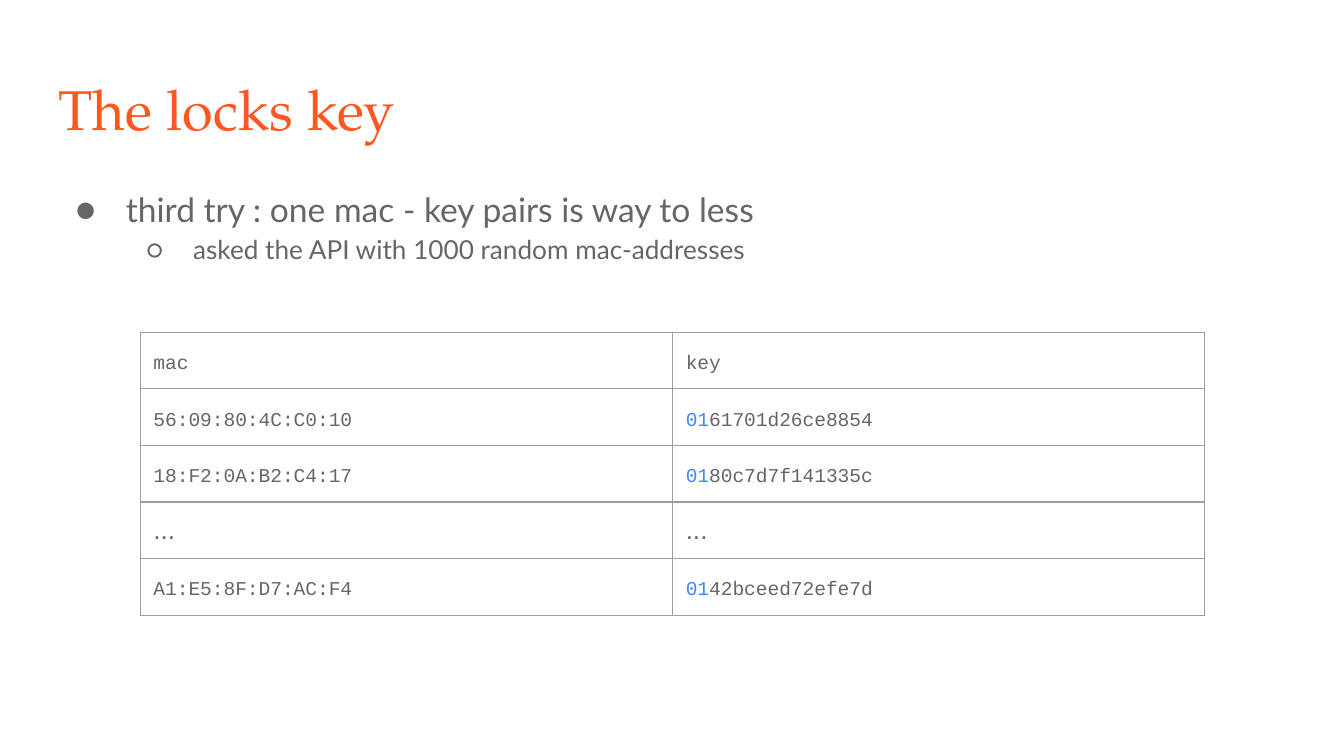
from lxml.etree import SubElement
from pptx import Presentation
from pptx.dml.color import RGBColor
from pptx.enum.text import MSO_ANCHOR, MSO_AUTO_SIZE, PP_ALIGN
from pptx.oxml.ns import qn
from pptx.util import Cm, Pt

COLORS = {"title": "FF5722", "text": "666666", "prefix": "4285F4", "border": "9E9E9E"}
INSET = Cm(0.25)


class SlideWriter:
    """Holds the deck's style and its current slide."""

    title_font, body_font, code_font, plain_font = (
        "TeX Gyre Pagella", "Lato", "Courier New", "Arial")

    def __init__(self, deck):
        self.page = deck.slides.add_slide(deck.slide_layouts[1])

    def add_run(self, para, text, font, size, color="text"):
        span = para.add_run()
        span.text = text
        span.font.name = font
        span.font.size = Pt(size)
        span.font.color.rgb = RGBColor.from_string(COLORS[color])

    def place(self, box, left, top, width, height, anchor):
        box.left, box.top, box.width, box.height = map(Cm, (left, top, width, height))
        frame = box.text_frame
        frame.word_wrap = True
        frame.auto_size = MSO_AUTO_SIZE.NONE
        frame.vertical_anchor = anchor
        frame.margin_left = frame.margin_right = INSET
        frame.margin_top = frame.margin_bottom = INSET
        return frame

    def add_title(self, text):
        frame = self.place(self.page.shapes.title, 0.86, 1.24, 23.67, 1.6, MSO_ANCHOR.MIDDLE)
        para = frame.paragraphs[0]
        para.alignment = PP_ALIGN.LEFT
        self.add_run(para, text, self.title_font, 30, "title")

    def add_bullet(self, para, mark, indent, hanging):
        props = para._p.get_or_add_pPr()
        props.set("marL", str(Cm(indent)))
        props.set("indent", str(-Cm(hanging)))
        color = SubElement(props, qn("a:buClr"))
        SubElement(color, qn("a:srgbClr"), val=COLORS["text"])
        SubElement(props, qn("a:buFont"), typeface=self.body_font)
        SubElement(props, qn("a:buChar"), char=mark)

    def add_list(self, items):
        frame = self.place(self.page.placeholders[1], 0.86, 3.2, 23.67, 9.5, MSO_ANCHOR.TOP)
        levels = [("●", 1.27, 0.95, 18), ("○", 2.54, 0.89, 14)]
        for index, (level, text) in enumerate(items):
            para = frame.add_paragraph() if index else frame.paragraphs[0]
            mark, indent, hanging, size = levels[level]
            para.level = level
            self.add_bullet(para, mark, indent, hanging)
            para.line_spacing = 1.15
            para.space_before = para.space_after = Pt(0)
            self.add_run(para, text, self.body_font, size)

    def add_borders(self, cell):
        props = cell._tc.get_or_add_tcPr()
        for side in ("lnL", "lnR", "lnT", "lnB"):
            line = SubElement(props, qn(f"a:{side}"), w=str(Pt(0.75)))
            fill = SubElement(line, qn("a:solidFill"))
            SubElement(fill, qn("a:srgbClr"), val=COLORS["border"])

    def add_cell(self, cell, prefix, text):
        cell.margin_left = cell.margin_right = INSET
        cell.margin_top = cell.margin_bottom = INSET
        self.add_borders(cell)
        cell.fill.background()
        para = cell.text_frame.paragraphs[0]
        if text == "...":
            self.add_run(para, text, self.plain_font, 14)
            return
        para.line_spacing = 1.36
        if prefix:
            self.add_run(para, prefix, self.code_font, 10.5, "prefix")
        self.add_run(para, text, self.code_font, 10.5)

    def add_table(self, rows, left, top, column_width, row_height):
        count = len(rows)
        table = self.page.shapes.add_table(
            count, 2, Cm(left), Cm(top), Cm(2 * column_width), Cm(count * row_height)).table
        table.first_row = table.horz_banding = False
        for column in table.columns:
            column.width = Cm(column_width)
        for index, (mac, prefix, key) in enumerate(rows):
            table.rows[index].height = Cm(row_height)
            self.add_cell(table.cell(index, 0), "", mac)
            self.add_cell(table.cell(index, 1), prefix, key)


def main():
    deck = Presentation()
    deck.slide_width, deck.slide_height = Cm(25.4), Cm(14.29)
    writer = SlideWriter(deck)

    # Heading and findings
    writer.add_title("The locks key")
    writer.add_list([
        (0, "third try : one mac - key pairs is way to less"),
        (1, "asked the API with 1000 random mac-addresses"),
    ])

    # Sample pairs: mac, shared key prefix, rest of the key
    writer.add_table([
        ("mac", "", "key"),
        ("56:09:80:4C:C0:10", "01", "61701d26ce8854"),
        ("18:F2:0A:B2:C4:17", "01", "80c7d7f141335c"),
        ("...", "", "..."),
        ("A1:E5:8F:D7:AC:F4", "01", "42bceed72efe7d"),
    ], left=2.65, top=6.28, column_width=10.06, row_height=1.07)

    deck.save("out.pptx")


if __name__ == "__main__":
    main()
